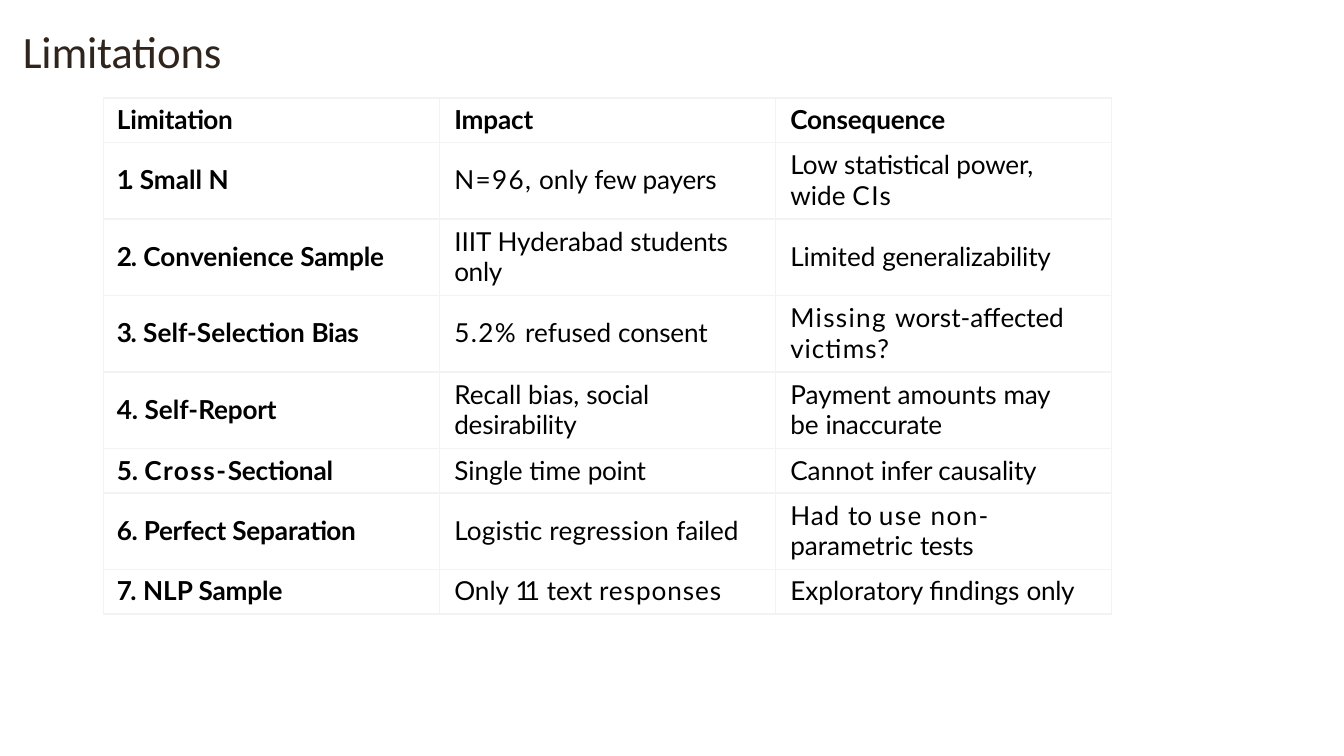
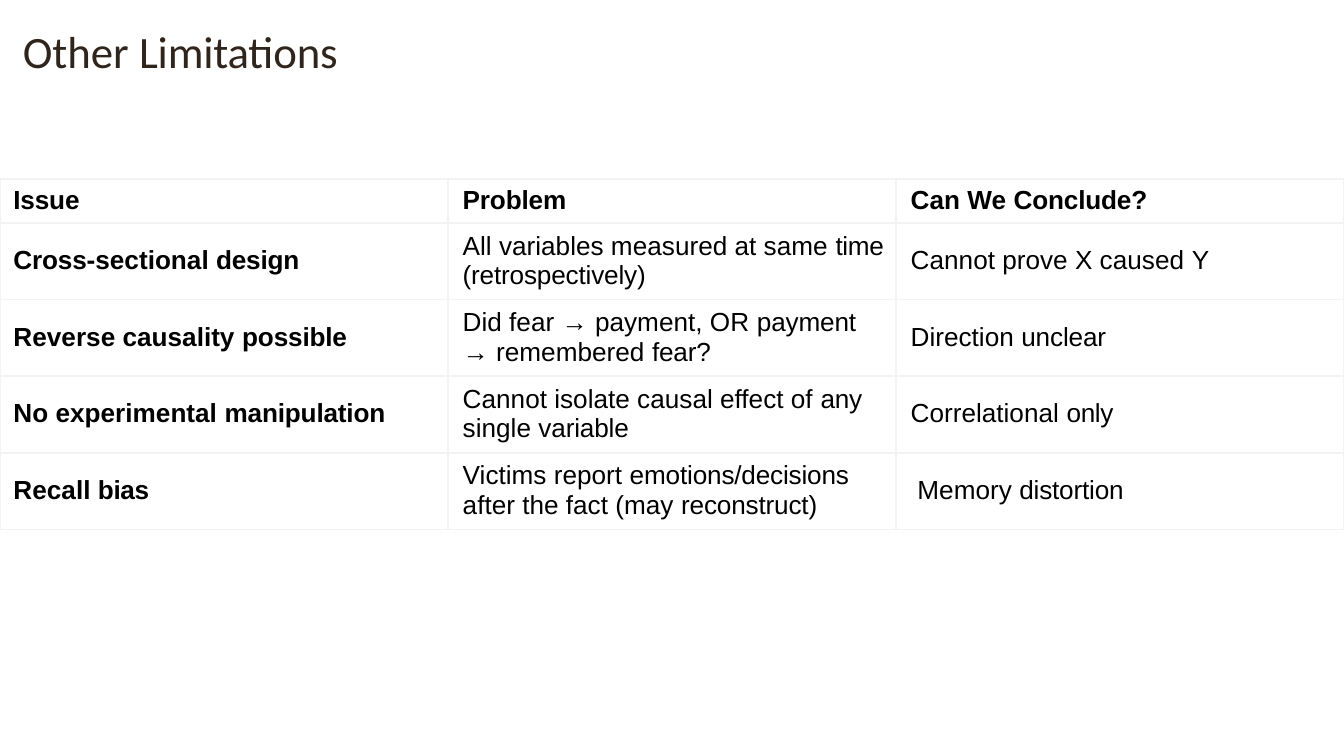
from lxml.etree import SubElement
from pptx import Presentation
from pptx.dml.color import RGBColor
from pptx.enum.text import MSO_ANCHOR as Anchor
from pptx.oxml.ns import qn
from pptx.util import Inches, Pt

SLIDE_WIDTH = Inches(10)
SLIDE_HEIGHT = SLIDE_WIDTH * 9 // 16
TITLE_COLOR = RGBColor(0x2F, 0x25, 0x1C)
BODY_COLOR = RGBColor(0x00, 0x00, 0x00)
BORDER_COLOR = RGBColor(0xF3, 0xF3, 0xF3)
TITLE_FONT = "Calibri"
SHORT_ROW, TALL_ROW = Inches(0.33), Inches(0.57)
FIRST_LEFT, CELL_LEFT, CELL_RIGHT = Inches(0.1), Inches(0.11), Inches(0.05)

# A paragraph is a list of (text, letter spacing in points);
# a cell is a list of paragraphs.
LIMITATIONS = [
    [[[("Limitation", -0.1)]], [[("Impact", -0.1)]], [[("Consequence", -0.1)]]],
    [[[("1.", -2.6), (" Small ", 0), ("N", 0.1)]],
     [[("N=96,", 0.7), (" only ", 0), ("few payers", -0.1)]],
     [[("Low ", 0), ("statistical power, ", -0.1), ("wide ", 0), ("CIs", 0.8)]]],
    [[[("2.", -0.7), (" Convenience ", 0), ("Sample", -0.1)]],
     [[("IIIT Hyderabad ", 0), ("students ", -0.1), ("only", -0.2)]],
     [[("Limited ", 0), ("generalizability", -0.1)]]],
    [[[("3.", -0.8), (" Self-Selection ", 0), ("Bias", -0.2)]],
     [[("5.2% ", 0.7), ("refused ", 0), ("consent", -0.1)]],
     [[("Missing ", 0.7), ("worst-", 0), ("affected ", -0.1), ("victims?", 0.5)]]],
    [[[("4.", -0.1), (" Self-", 0), ("Report", -0.1)]],
     [[("Recall bias, ", 0), ("social desirability", -0.1)]],
     [[("Payment amounts ", 0), ("may ", -0.2), ("be ", 0), ("inaccurate", -0.1)]]],
    [[[("5.", -0.2), (" ", 0), ("Cross-", 0.8), ("Sectional", -0.1)]],
     [[("Single time ", 0), ("point", -0.2)]],
     [[("Cannot ", 0), ("infer causality", -0.1)]]],
    [[[("6.", -0.3), (" Perfect ", -0.2), ("Separation", -0.1)]],
     [[("Logistic regression ", 0.1), ("failed", -0.1)]],
     [[("Had ", 0.5), ("to ", 0), ("use non-", 0.7), ("parametric ", 0), ("tests", -0.2)]]],
    [[[("7.", -0.9), (" NLP ", 0), ("Sample", -0.1)]],
     [[("Only ", 0), ("11", -3), (" text ", 0), ("responses", 0.5)]],
     [[("Exploratory findings ", 0), ("only", -0.2)]]],
]
OTHER_LIMITATIONS = [
    [[[("Issue", -0.1)]], [[("Problem", -0.1)]], [[("Can We ", 0), ("Conclude?", -0.1)]]],
    [[[("Cross-", -0.1), ("sectional", 0), (" design", -0.1)]],
     [[("All variables measured at same ", 0), ("time ", -0.2), ("(retrospectively)", -0.1)]],
     [[("Cannot prove X caused ", 0), ("Y", -0.5)]]],
    [[[("Reverse causality ", 0), ("possible", -0.1)]],
     [[("Did fear → payment, OR ", 0), ("payment", -0.1)],
      [("→ remembered ", 0), ("fear?", -0.1)]],
     [[("Direction ", 0), ("unclear", -0.1)]]],
    [[[("No experimental ", 0), ("manipulation", -0.1)]],
     [[("Cannot isolate causal effect of ", 0), ("any ", -0.2), ("single ", 0), ("variable", -0.1)]],
     [[("Correlational ", 0), ("only", -0.2)]]],
    [[[("Recall ", 0), ("bias", -0.2)]],
     [[("Victims report ", 0), ("emotions/decisions ", -0.1),
       ("after the fact (may ", 0), ("reconstruct)", -0.1)]],
     [[("Memory ", 0), ("distortion", -0.1)]]],
]


def write_text(frame, paragraphs, font, size, color, bold=False, line_spacing=None):
    frame.word_wrap = True
    for index, pieces in enumerate(paragraphs):
        paragraph = frame.add_paragraph() if index else frame.paragraphs[0]
        paragraph.line_spacing = line_spacing
        for text, letter_spacing in pieces:
            run = paragraph.add_run()
            run.text = text
            run.font.name, run.font.size, run.font.bold = font, Pt(size), bold
            run.font.color.rgb = color
            run.font._element.set("spc", str(round(letter_spacing * 100)))


def add_title(slide, pieces):
    box = slide.shapes.add_textbox(Inches(0.15), Inches(0.16),
                                   int(SLIDE_WIDTH * 0.68), Inches(0.43))
    frame = box.text_frame
    frame.margin_left = frame.margin_top = Inches(0.02)
    frame.margin_right = frame.margin_bottom = 0
    write_text(frame, [pieces], TITLE_FONT, 24, TITLE_COLOR)


def add_borders(cell):
    properties = cell._tc.get_or_add_tcPr()
    for position, side in enumerate(("lnL", "lnR", "lnT", "lnB")):
        line = SubElement(properties, qn(f"a:{side}"), w=str(Pt(1)))
        fill = SubElement(line, qn("a:solidFill"))
        SubElement(fill, qn("a:srgbClr"), val=str(BORDER_COLOR))
        properties.insert(position, line)


def add_grid(slide, rows, left, top, width, row_heights, font, line_spacing,
             last_right=CELL_RIGHT):
    """Add a bordered table; last_right is the right margin of its last column."""
    column_count = len(rows[0])
    table = slide.shapes.add_table(len(rows), column_count, left, top,
                                   width, sum(row_heights)).table
    table.first_row = table.horz_banding = False
    for row, height in zip(table.rows, row_heights):
        row.height = height
    for column in table.columns:
        column.width = width // column_count
    for row_index, row in enumerate(rows):
        for column_index, paragraphs in enumerate(row):
            is_last = column_index == column_count - 1
            cell = table.cell(row_index, column_index)
            cell.margin_left = CELL_LEFT if column_index else FIRST_LEFT
            cell.margin_right = last_right if is_last else CELL_RIGHT
            cell.margin_top, cell.margin_bottom = 0, Inches(0.01)
            cell.vertical_anchor = Anchor.MIDDLE
            cell.fill.background()
            add_borders(cell)
            write_text(cell.text_frame, paragraphs, font, 14, BODY_COLOR,
                       bold=row_index == 0 or column_index == 0,
                       line_spacing=line_spacing)
    return table


def build_limitations(slide):
    add_title(slide, [("Limitations", -0.1)])
    heights = [SHORT_ROW] + [TALL_ROW] * 4 + [SHORT_ROW, TALL_ROW, SHORT_ROW]
    add_grid(slide, LIMITATIONS, Inches(0.77), Inches(0.73), int(SLIDE_WIDTH * 0.75),
             heights, "Lato", Pt(16.5), last_right=Inches(0.22))


def build_other_limitations(slide):
    add_title(slide, [("Other ", 0), ("Limitations", -0.1)])
    table = add_grid(slide, OTHER_LIMITATIONS, 0, Inches(1.33), SLIDE_WIDTH,
                     [SHORT_ROW] + [TALL_ROW] * 4, "Arial", 1.0)
    table.cell(4, 2).margin_left = Inches(0.16)


def main():
    presentation = Presentation()
    presentation.slide_width, presentation.slide_height = SLIDE_WIDTH, SLIDE_HEIGHT
    for build in (build_limitations, build_other_limitations):
        build(presentation.slides.add_slide(presentation.slide_layouts[6]))
    presentation.save("out.pptx")


if __name__ == "__main__":
    main()
